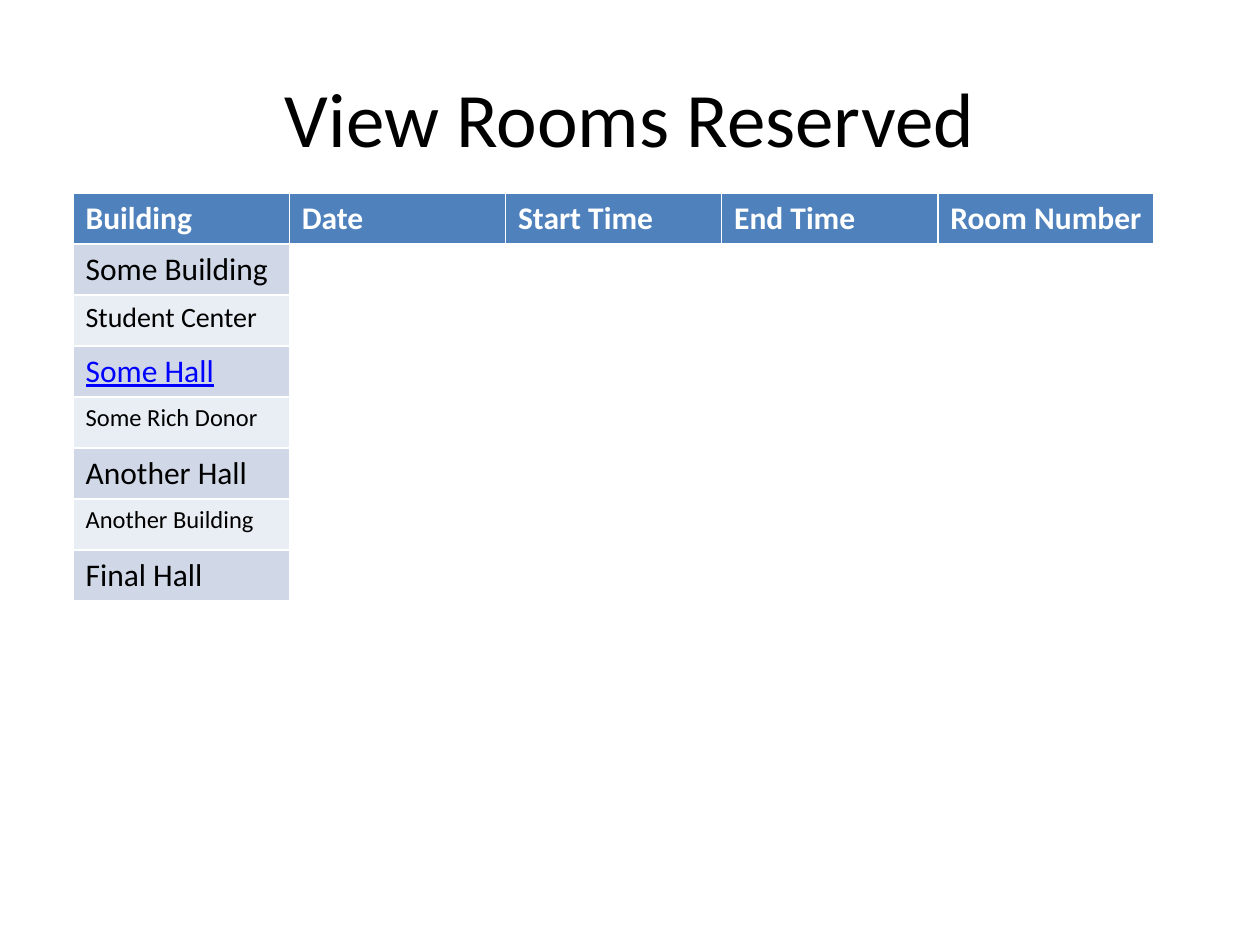
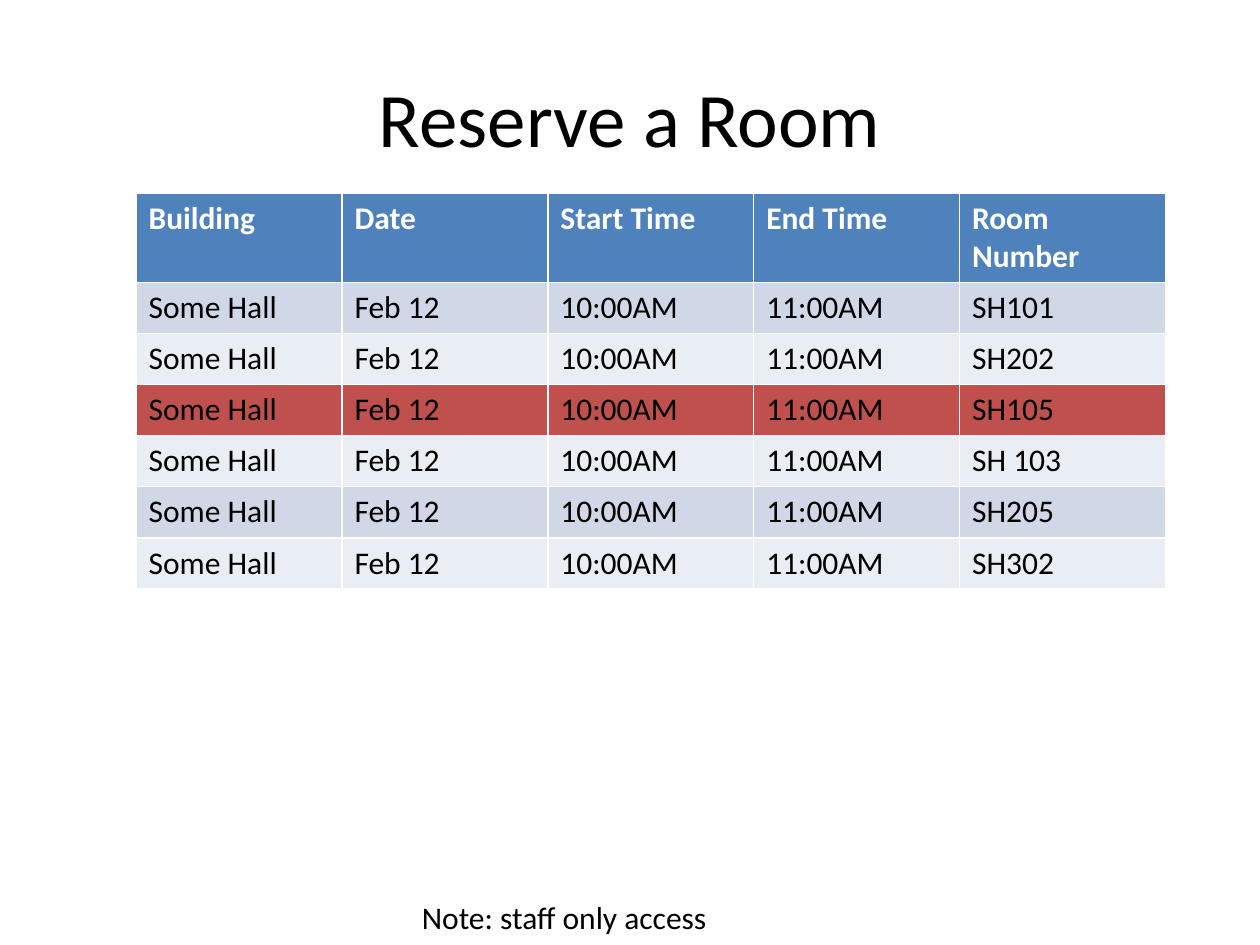
from pptx import Presentation
from pptx.dml.color import RGBColor
from pptx.enum.text import MSO_ANCHOR, MSO_AUTO_SIZE, PP_ALIGN
from pptx.util import Inches, Pt

FONT = "Calibri"
BLACK = RGBColor(0x00, 0x00, 0x00)
WHITE = RGBColor(0xFF, 0xFF, 0xFF)
HEADER_BLUE = RGBColor(0x4F, 0x81, 0xBD)
BAND_DARK = RGBColor(0xD0, 0xD8, 0xE8)
BAND_LIGHT = RGBColor(0xE9, 0xED, 0xF4)
TAKEN_RED = RGBColor(0xC0, 0x50, 0x4D)
LINK_BLUE = RGBColor(0x00, 0x00, 0xFF)

SLIDE_WIDTH, SLIDE_HEIGHT = Inches(10), Inches(7.5)
TABLE_TOP = Inches(1.53)
ROW_HEIGHT = Inches(0.405)
BODY_SIZE = 18

HEADINGS = ["Building", "Date", "Start Time", "End Time", "Room Number"]
BUILDINGS = [
    ("Some Building", 18),
    ("Student Center", 16),
    ("Some Hall", 18),
    ("Some Rich Donor", 14),
    ("Another Hall", 18),
    ("Another Building", 14),
    ("Final Hall", 18),
]
LINKED_BUILDING = "Some Hall"
ROOMS = ["SH101", "SH202", "SH105", "SH 103", "SH205", "SH302"]
TAKEN_ROOM = "SH105"


def write(frame, text, size=BODY_SIZE, color=BLACK, bold=False, underline=False):
    frame.text = text
    for run in frame.paragraphs[0].runs:
        run.font.name = FONT
        run.font.size = Pt(size)
        run.font.color.rgb = color
        run.font.bold = bold
        run.font.underline = underline


def fill_cell(cell, color):
    cell.fill.solid()
    cell.fill.fore_color.rgb = color


def band_color(row):
    return BAND_DARK if row % 2 else BAND_LIGHT


def add_titled_slide(deck, text):
    slide = deck.slides.add_slide(deck.slide_layouts[5])
    title = slide.shapes.title
    title.left, title.top = int(SLIDE_WIDTH * 0.05), int(SLIDE_HEIGHT * 0.04)
    title.width, title.height = int(SLIDE_WIDTH * 0.9), Inches(1.25)
    write(title.text_frame, text, size=44)
    title.text_frame.vertical_anchor = MSO_ANCHOR.MIDDLE
    title.text_frame.paragraphs[0].alignment = PP_ALIGN.CENTER
    return slide


def add_schedule(slide, left, width, body_rows):
    row_count = body_rows + 1
    schedule = slide.shapes.add_table(
        row_count, len(HEADINGS), Inches(left), TABLE_TOP,
        Inches(width), ROW_HEIGHT * row_count,
    ).table
    for column, heading in enumerate(HEADINGS):
        cell = schedule.cell(0, column)
        fill_cell(cell, HEADER_BLUE)
        write(cell.text_frame, heading, color=WHITE, bold=True)
    return schedule


def add_note(slide, text):
    note = slide.shapes.add_textbox(
        Inches(3.25), Inches(7.08), int(SLIDE_WIDTH / 3), Inches(0.42))
    note.text_frame.word_wrap = True
    note.text_frame.auto_size = MSO_AUTO_SIZE.SHAPE_TO_FIT_TEXT
    write(note.text_frame, text)


def build_reserved_slide(deck):
    slide = add_titled_slide(deck, "View Rooms Reserved")
    schedule = add_schedule(slide, 0.58, 8.58, len(BUILDINGS))
    for row, (building, size) in enumerate(BUILDINGS, start=1):
        linked = building == LINKED_BUILDING
        cell = schedule.cell(row, 0)
        fill_cell(cell, band_color(row))
        write(cell.text_frame, building, size,
              LINK_BLUE if linked else BLACK, underline=linked)
    details = schedule.cell(1, 1)
    details.merge(schedule.cell(len(BUILDINGS), len(HEADINGS) - 1))
    fill_cell(details, WHITE)


def build_reserve_slide(deck):
    slide = add_titled_slide(deck, "Reserve a Room")
    schedule = add_schedule(slide, 1.08, 8.17, len(ROOMS))
    for row, room in enumerate(ROOMS, start=1):
        color = TAKEN_RED if room == TAKEN_ROOM else band_color(row)
        booking = ["Some Hall", "Feb 12", "10:00AM", "11:00AM", room]
        for column, value in enumerate(booking):
            cell = schedule.cell(row, column)
            fill_cell(cell, color)
            write(cell.text_frame, value)
    add_note(slide, "Note: staff only access")


def main():
    deck = Presentation()
    deck.slide_width, deck.slide_height = SLIDE_WIDTH, SLIDE_HEIGHT
    build_reserved_slide(deck)
    build_reserve_slide(deck)
    deck.save("out.pptx")


main()
